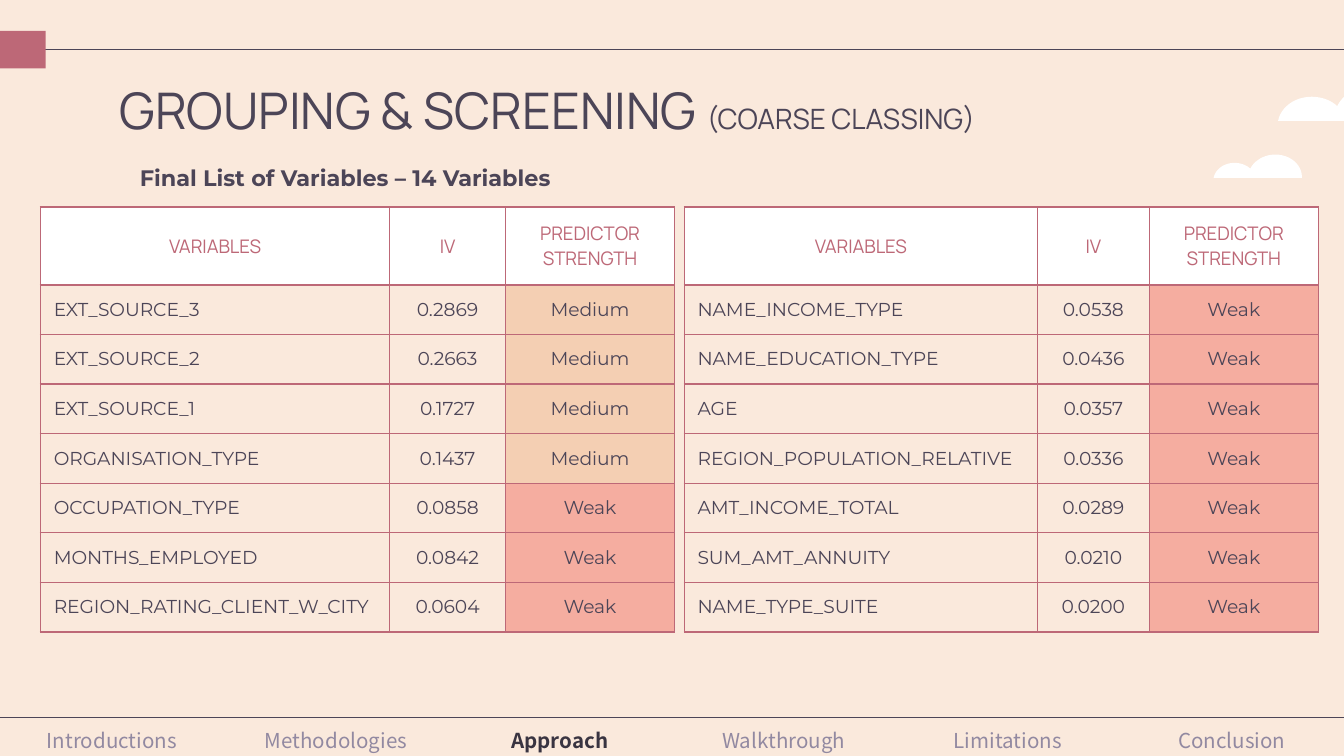
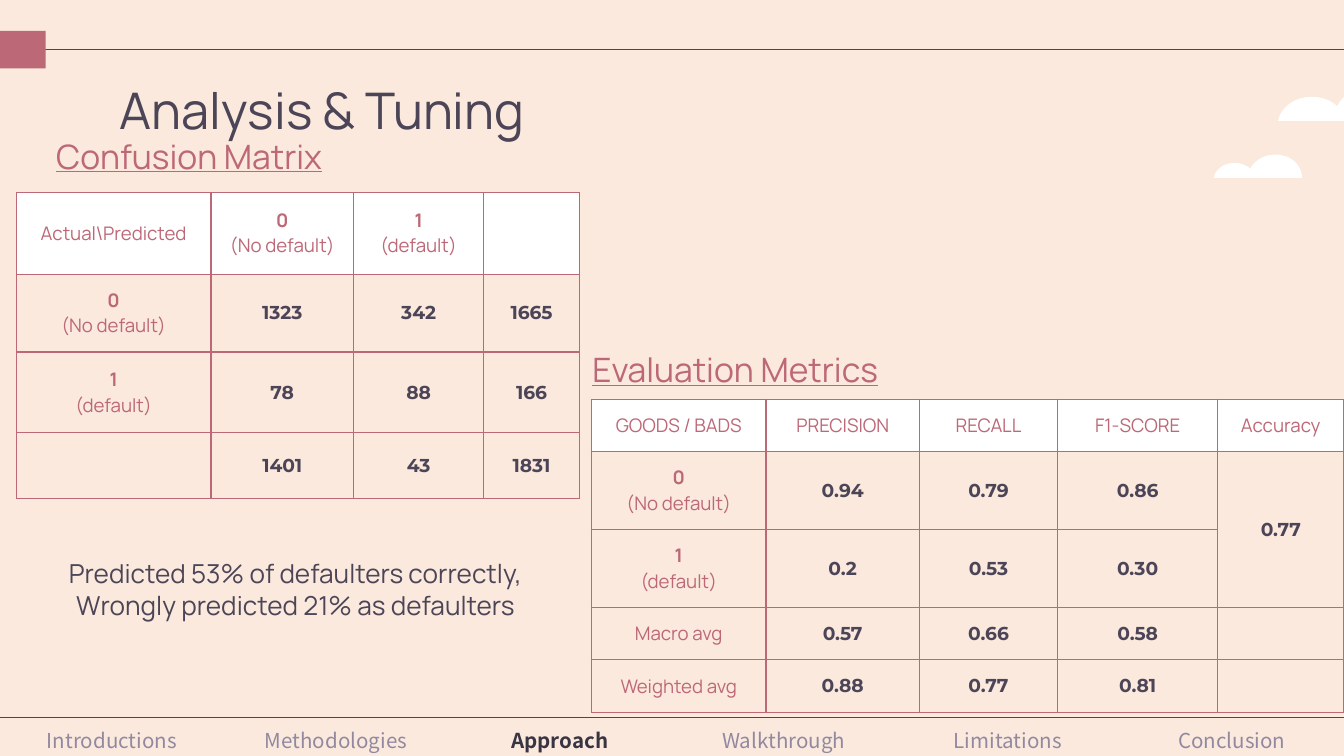
"""Build two slides on variable screening and model tuning."""
from lxml import etree
from pptx import Presentation
from pptx.dml.color import RGBColor
from pptx.enum.shapes import MSO_CONNECTOR, MSO_SHAPE
from pptx.enum.text import MSO_ANCHOR, MSO_AUTO_SIZE, PP_ALIGN
from pptx.oxml.ns import qn
from pptx.util import Inches, Pt

LEFT, CENTER = PP_ALIGN.LEFT, PP_ALIGN.CENTER
TOP, MIDDLE = MSO_ANCHOR.TOP, MSO_ANCHOR.MIDDLE
RECT, STRAIGHT = MSO_SHAPE.RECTANGLE, MSO_CONNECTOR.STRAIGHT
NO_FIT = MSO_AUTO_SIZE.NONE

COLORS = {
    "ink": "4C4557", "rose": "BD6877", "cream": "FAE9DC", "white": "FFFFFF",
    "muted": "9289A1", "active": "393441", "Medium": "F4CFB3", "Weak": "F5ADA0",
}
HEAD_FONT, BODY_FONT, NAV_FONT = "Manrope", "Montserrat", "Noto Sans CJK JP"

SECTIONS = ["Introductions", "Methodologies", "Approach",
            "Walkthrough", "Limitations", "Conclusion"]
ACTIVE_SECTION = "Approach"

VARIABLE_HEAD = ("VARIABLES", "IV", "PREDICTOR STRENGTH")
VARIABLE_TABLES = [
    {"left": 0.3, "cols": [2.6, 0.86, 1.26], "rows": [
        VARIABLE_HEAD,
        ("EXT_SOURCE_3", "0.2869", "Medium"),
        ("EXT_SOURCE_2", "0.2663", "Medium"),
        ("EXT_SOURCE_1", "0.1727", "Medium"),
        ("ORGANISATION_TYPE", "0.1437", "Medium"),
        ("OCCUPATION_TYPE", "0.0858", "Weak"),
        ("MONTHS_EMPLOYED", "0.0842", "Weak"),
        ("REGION_RATING_CLIENT_W_CITY", "0.0604", "Weak"),
    ]},
    {"left": 5.09, "cols": [2.63, 0.83, 1.26], "rows": [
        VARIABLE_HEAD,
        ("NAME_INCOME_TYPE", "0.0538", "Weak"),
        ("NAME_EDUCATION_TYPE", "0.0436", "Weak"),
        ("AGE", "0.0357", "Weak"),
        ("REGION_POPULATION_RELATIVE", "0.0336", "Weak"),
        ("AMT_INCOME_TOTAL", "0.0289", "Weak"),
        ("SUM_AMT_ANNUITY", "0.0210", "Weak"),
        ("NAME_TYPE_SUITE", "0.0200", "Weak"),
    ]},
]

GOOD, BAD = "0\n(No default)", "1\n(default)"
CONFUSION = [
    ("Actual\\Predicted", GOOD, BAD, ""),
    (GOOD, "1323", "342", "1665"),
    (BAD, "78", "88", "166"),
    ("", "1401", "43", "1831"),
]
METRICS = [
    ("GOODS / BADS", "PRECISION", "RECALL", "F1-SCORE", "Accuracy"),
    (GOOD, "0.94", "0.79", "0.86", "0.77"),
    (BAD, "0.2", "0.53", "0.30", ""),
    ("Macro avg", "0.57", "0.66", "0.58", ""),
    ("Weighted avg", "0.88", "0.77", "0.81", ""),
]
FINDINGS = ["Predicted 53% of defaulters correctly,",
            "Wrongly predicted 21% as defaulters"]

CLOUD_START = (1.06, 0.27)
CLOUD_CURVES = [
    ((1.06, 0.12), (0.92, 0), (0.74, 0)),
    ((0.61, 0), (0.49, 0.07), (0.44, 0.17)),
    ((0.4, 0.13), (0.33, 0.1), (0.25, 0.1)),
    ((0.12, 0.1), (0.02, 0.18), (0, 0.28)),
]
CLOUDS = [(9.03, 1.15, 0.62), (9.51, 0.62, 1)]


def rgb(name):
    return RGBColor.from_string(COLORS[name])


def box(*lengths):
    return [Inches(v) for v in lengths]


def add_run(p, text, size, font, color, **extra):
    r = p.add_run()
    r.text = text
    r.font.color.rgb = rgb(color)
    for key, value in {"size": Pt(size), "name": font, **extra}.items():
        setattr(r.font, key, value)


def set_frame(tf, inset=0.1, anchor=TOP):
    sides = {f"margin_{s}": Inches(inset) for s in ("left", "right", "top", "bottom")}
    for key, value in {"word_wrap": True, "auto_size": NO_FIT,
                       "vertical_anchor": anchor, **sides}.items():
        setattr(tf, key, value)


def place(sp, *lengths):
    sp.left, sp.top, sp.width, sp.height = box(*lengths)


def set_borders(cell, sides, color, width):
    tcPr = cell._tc.get_or_add_tcPr()
    for i, side in enumerate("LRTB"):
        ln = etree.Element(qn(f"a:ln{side}"), w=str(Pt(width)))
        if side in sides:
            fill = etree.SubElement(ln, qn("a:solidFill"))
            etree.SubElement(fill, qn("a:srgbClr"), val=COLORS[color])
        else:
            etree.SubElement(ln, qn("a:noFill"))
        tcPr.insert(i, ln)


def add_grid(slide, left, top, cols, heights):
    sp = slide.shapes.add_table(len(heights), len(cols),
                                *box(left, top, sum(cols), sum(heights)))
    table = sp.table
    table.first_row = table.horz_banding = False
    for col, width in zip(table.columns, cols):
        col.width = Inches(width)
    for row, height in zip(table.rows, heights):
        row.height = Inches(height)
    return table


def add_data_table(slide, rows, left, top, cols, heights, stub):
    table = add_grid(slide, left, top, cols, heights)
    for i, row in enumerate(rows):
        for j, text in enumerate(row):
            cell = table.cell(i, j)
            label = i == 0 or (stub and j == 0)
            fill = "white" if i == 0 else text if text in COLORS else "cream"
            cell.fill.solid()
            cell.fill.fore_color.rgb = rgb(fill)
            set_borders(cell, "LRTB", "rose", 0.75)
            cell.vertical_anchor = MIDDLE
            for side in ("left", "right", "top", "bottom"):
                setattr(cell, f"margin_{side}", Inches(0.1))
            tf = cell.text_frame
            if not text:
                etree.SubElement(tf.paragraphs[0]._p, qn("a:endParaRPr"), sz="1000")
                continue
            lines = text.split("\n")
            for n, line in enumerate(lines):
                p = tf.add_paragraph() if n else tf.paragraphs[0]
                p.alignment = CENTER if label or stub or j else LEFT
                bold = (len(lines) > 1 and n == 0) if label else stub
                add_run(p, line, 10, HEAD_FONT if label else BODY_FONT,
                        "rose" if label else "ink", bold=bold)
    return table


def add_cloud(slide, left, top, scale):
    points, start = [(1.06, 0.28), CLOUD_START], CLOUD_START
    for curve in CLOUD_CURVES:
        for t in (n / 12 for n in range(1, 13)):
            weights = ((1 - t) ** 3, 3 * t * (1 - t) ** 2, 3 * t * t * (1 - t), t ** 3)
            points.append([sum(w * pt[k] for w, pt in zip(weights, (start, *curve)))
                           for k in (0, 1)])
        start = curve[-1]
    points = [box(left + x * scale, top + y * scale) for x, y in points]
    builder = slide.shapes.build_freeform(*points[0])
    builder.add_line_segments(points[1:], close=True)
    fill_shape(builder.convert_to_shape(), "white")


def fill_shape(sp, color):
    sp.shadow.inherit = False
    sp.fill.solid()
    sp.fill.fore_color.rgb = rgb(color)
    sp.line.fill.background()


def add_slide(prs, layout, title_runs):
    slide = prs.slides.add_slide(prs.slide_layouts[layout])
    for cloud in CLOUDS:
        add_cloud(slide, *cloud)
    rule = slide.shapes.add_connector(STRAIGHT, *box(0, 0.37, 10, 0.37))
    rule.line.color.rgb = rgb("ink")
    rule.line.width = Pt(0.75)
    etree.SubElement(rule._element.spPr, qn("a:effectLst"))
    fill_shape(slide.shapes.add_shape(RECT, *box(0, 0.23, 0.34, 0.28)), "rose")

    nav = add_grid(slide, 0, 5.34, [10 / len(SECTIONS)] * len(SECTIONS), [0.28])
    for j, section in enumerate(SECTIONS):
        cell = nav.cell(0, j)
        cell.fill.background()
        set_borders(cell, "T", "ink", 1)
        p = cell.text_frame.paragraphs[0]
        p.alignment = CENTER
        active = section == ACTIVE_SECTION
        add_run(p, section, 11, NAV_FONT, "active" if active else "muted", bold=active)

    title = slide.shapes.title
    place(title, 0.79, 0.49, 8.43, 0.63)
    set_frame(title.text_frame)
    p = title.text_frame.paragraphs[0]
    p.alignment = LEFT
    for text, size in title_runs:
        add_run(p, text, size, HEAD_FONT, "ink")
    return slide


def add_heading(slide, text, left, top):
    tf = slide.shapes.add_textbox(*box(left, top, 3.09, 0.4)).text_frame
    set_frame(tf, anchor=MIDDLE)
    add_run(tf.paragraphs[0], text, 18, HEAD_FONT, "rose", underline=True)


def build_screening(prs):
    slide = add_slide(prs, 1, [("GROUPING & SCREENING ", 27), ("(COARSE CLASSING)", 15)])
    body = slide.placeholders[1]
    place(body, 0.79, 1.12, 8.43, 0.43)
    set_frame(body.text_frame)
    p = body.text_frame.paragraphs[0]
    pPr = p._p.get_or_add_pPr()
    pPr.set("marL", str(Inches(0.15)))
    pPr.set("indent", "0")
    etree.SubElement(pPr, qn("a:buNone"))
    p.space_before = Pt(0)
    add_run(p, "Final List of Variables – 14 Variables", 12, BODY_FONT, "ink", bold=True)
    for t in VARIABLE_TABLES:
        add_data_table(slide, t["rows"], t["left"], 1.54, t["cols"],
                       [0.58] + [0.35] * 7, stub=False)


def build_tuning(prs):
    slide = add_slide(prs, 5, [("Analysis & Tuning", 27)])
    add_heading(slide, "Evaluation Metrics", 4.31, 2.55)
    metrics = add_data_table(slide, METRICS, 4.4, 2.97, [1.3, 1.14, 1.03, 1.19, 0.94],
                             [0.39, 0.58, 0.58, 0.39, 0.39], stub=True)
    metrics.cell(1, 4).merge(metrics.cell(2, 4))
    add_data_table(slide, CONFUSION, 0.12, 1.43, [1.45, 1.06, 0.97, 0.71],
                   [0.61, 0.58, 0.6, 0.49], stub=True)
    add_heading(slide, "Confusion Matrix", 0.32, 0.96)
    tf = slide.shapes.add_textbox(*box(0, 4.1, 4.4, 0.57)).text_frame
    set_frame(tf, inset=0.05)
    for n, line in enumerate(FINDINGS):
        p = tf.add_paragraph() if n else tf.paragraphs[0]
        p.alignment = CENTER
        add_run(p, line, 14, HEAD_FONT, "ink")


def main():
    prs = Presentation()
    prs.slide_width, prs.slide_height = box(10, 5.625)
    background = prs.slide_master.background.fill
    background.solid()
    background.fore_color.rgb = rgb("cream")
    build_screening(prs)
    build_tuning(prs)
    prs.save("out.pptx")


if __name__ == "__main__":
    main()
